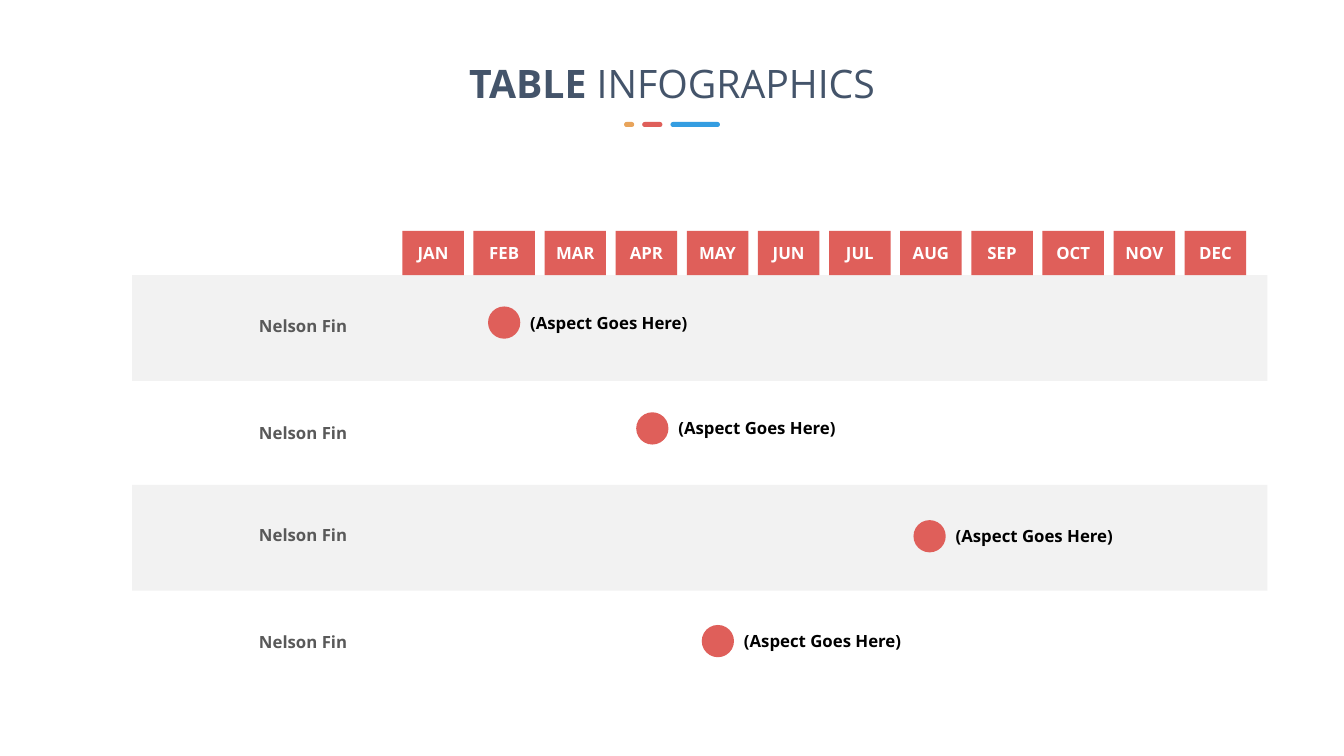
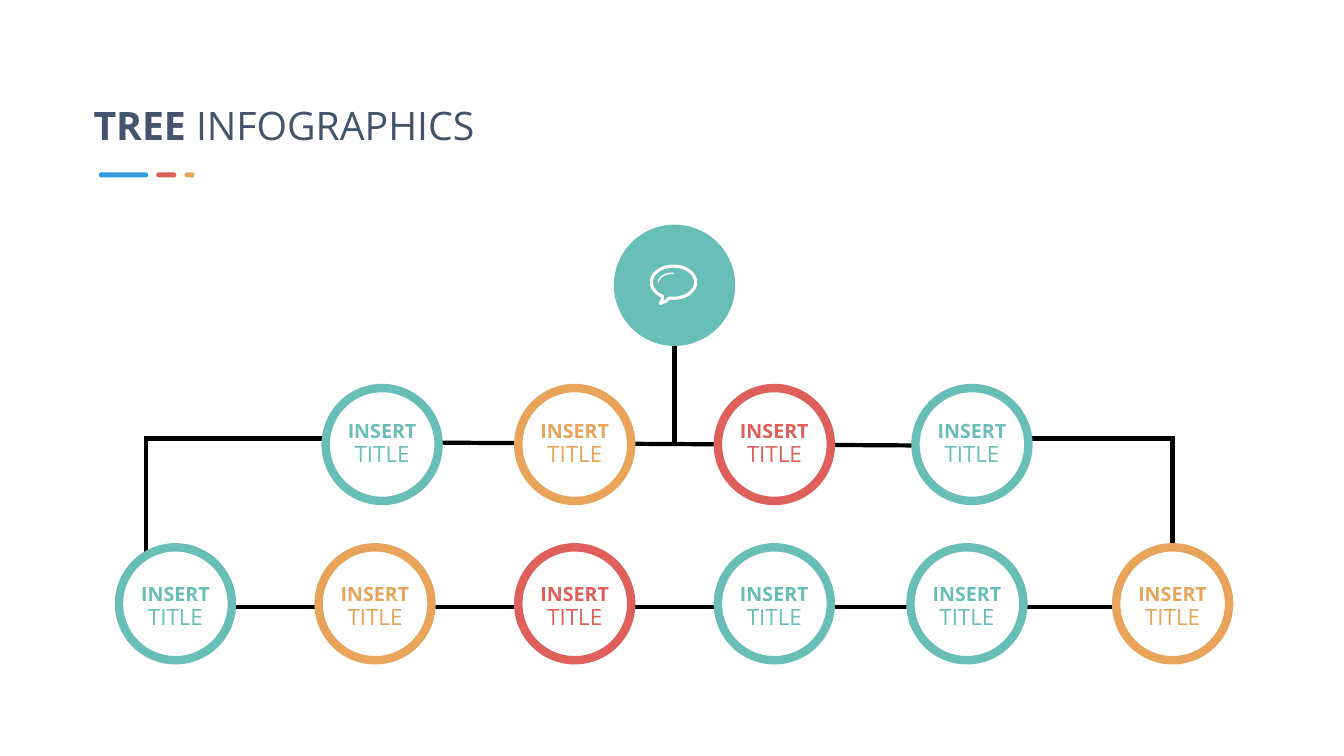
from dataclasses import dataclass
from math import cos, radians, sin

from lxml import etree
from pptx import Presentation
from pptx.dml.color import RGBColor
from pptx.enum.shapes import MSO_CONNECTOR, MSO_SHAPE
from pptx.enum.text import MSO_ANCHOR, MSO_AUTO_SIZE, PP_ALIGN
from pptx.oxml.ns import qn
from pptx.util import Inches, Pt

RECTANGLE, ROUNDED, OVAL = MSO_SHAPE.RECTANGLE, MSO_SHAPE.ROUNDED_RECTANGLE, MSO_SHAPE.OVAL
STRAIGHT = MSO_CONNECTOR.STRAIGHT
LEFT, CENTER = PP_ALIGN.LEFT, PP_ALIGN.CENTER
MIDDLE = MSO_ANCHOR.MIDDLE
FIT_SHAPE = MSO_AUTO_SIZE.SHAPE_TO_FIT_TEXT


@dataclass(frozen=True)
class Theme:
    font: str = "Open Sans"
    navy: str = "44546A"
    blue: str = "349DE1"
    red: str = "DF5F5A"
    amber: str = "E8A45B"
    teal: str = "69BEB6"
    band: str = "F2F2F2"
    gray: str = "595959"
    black: str = "000000"
    white: str = "FFFFFF"
    title_size: int = 28
    label_size: int = 12
    node_sizes: tuple = (14, 16)
    ring_width: int = 6
    branch_width: int = 3


THEME = Theme()

# Shared title accent: (width, colour), widest first
ACCENT_BARS = [(0.49, THEME.blue), (0.2, THEME.red), (0.1, THEME.amber)]
ACCENT_GAP, ACCENT_HEIGHT = 0.08, 0.05

# Schedule
MONTHS = ["JAN", "FEB", "MAR", "APR", "MAY", "JUN",
          "JUL", "AUG", "SEP", "OCT", "NOV", "DEC"]
FIRST_MONTH, LAST_MONTH, MONTH_TOP = 3.99, 11.75, 2.29
MONTH_WIDTH, MONTH_HEIGHT = 0.61, 0.44
BANDS = [2.73, 4.81]
DOT = 0.32
# (name, name top, aspect, dot left, dot top)
TASKS = [
    ("Nelson Fin", 3.08, "(Aspect Goes Here)", 4.84, 3.04),
    ("Nelson Fin", 4.14, "(Aspect Goes Here)", 6.31, 4.09),
    ("Nelson Fin", 5.16, "(Aspect Goes Here)", 9.06, 5.16),
    ("Nelson Fin", 6.22, "(Aspect Goes Here)", 6.96, 6.2),
]

# Tree
NODE_LABEL = ("INSERT ", "TITLE")
NODE = 1.12
ROOT = (6.13, 2.27)
# (top, label inset from top, [(left, colour)])
NODE_ROWS = [
    (3.85, 0, [(3.23, THEME.teal), (5.14, THEME.amber),
               (7.12, THEME.red), (9.08, THEME.teal)]),
    (5.43, 0.07, [(1.18, THEME.teal), (3.16, THEME.amber), (5.14, THEME.red),
                  (7.12, THEME.teal), (9.03, THEME.teal), (11.07, THEME.amber)]),
]
BRANCHES = [
    (11.63, 4.33, 11.63, 5.84),
    (10.14, 4.35, 11.65, 4.35),
    (1.45, 4.33, 1.45, 5.84),
    (3.39, 4.35, 1.44, 4.35),
    (11.37, 6.02, 1.96, 6.02),
    (9.16, 4.42, 4.05, 4.39),
    (6.69, 2.8, 6.69, 4.39),
]
BUBBLE_CENTER = (6.68, 2.8)
BUBBLE_TAIL = [(6.57, 2.97), (6.55, 3.01), (6.6, 2.99)]


def rgb(color):
    return RGBColor.from_string(color)


def add_block(page, kind, left, top, width, height, fill, ring=None):
    block = page.shapes.add_shape(
        kind, Inches(left), Inches(top), Inches(width), Inches(height))
    block.shadow.inherit = False
    block.fill.solid()
    block.fill.fore_color.rgb = rgb(fill)
    if ring:
        block.line.color.rgb = rgb(ring)
        block.line.width = Pt(THEME.ring_width)
    else:
        block.line.fill.background()
    return block


def write(frame, spans, color, size=None, align=LEFT):
    """Fill the first paragraph with (text, bold, own size or None) spans."""
    para = frame.paragraphs[0]
    para.alignment = align
    para.font.name = THEME.font
    para.font.color.rgb = rgb(color)
    if size:
        para.font.size = Pt(size)
    for text, bold, own_size in spans:
        span = para.add_run()
        span.text = text
        span.font.bold = bold
        if own_size:
            span.font.size = Pt(own_size)
    return para


def add_text(page, left, top, width, height, spans, color, size, align=LEFT, wrap=False):
    box = page.shapes.add_textbox(
        Inches(left), Inches(top), Inches(width), Inches(height))
    box.text_frame.word_wrap = wrap
    box.text_frame.auto_size = FIT_SHAPE
    write(box.text_frame, spans, color, size, align)


def add_title(page, strong, light, left, top, width, align):
    spans = [(strong, True, None), (light, False, None)]
    add_text(page, left, top, width, 0.57, spans,
             THEME.navy, THEME.title_size, align, wrap=True)


def add_accent(page, left, top, bars):
    for width, color in bars:
        bar = add_block(page, ROUNDED, left, top, width, ACCENT_HEIGHT, color)
        bar.adjustments[0] = 0.5
        left += width + ACCENT_GAP


def add_branch(page, x1, y1, x2, y2):
    branch = page.shapes.add_connector(
        STRAIGHT, Inches(x1), Inches(y1), Inches(x2), Inches(y2))
    branch.line.color.rgb = rgb(THEME.black)
    branch.line.width = Pt(THEME.branch_width)
    etree.SubElement(branch._element.spPr, qn("a:effectLst"))


def add_node(page, left, top, color, label_inset):
    node = add_block(page, OVAL, left, top, NODE, NODE, THEME.white, color)
    frame = node.text_frame
    frame.word_wrap = True
    frame.vertical_anchor = MIDDLE
    frame.margin_left = frame.margin_right = frame.margin_bottom = 0
    frame.margin_top = Inches(label_inset)
    spans = list(zip(NODE_LABEL, (True, False), THEME.node_sizes))
    write(frame, spans, color, align=CENTER).line_spacing = 0.9


def arc_points(radius_x, radius_y, start, stop, step):
    center_x, center_y = BUBBLE_CENTER
    return [(center_x + radius_x * cos(radians(angle)),
             center_y + radius_y * sin(radians(angle)))
            for angle in range(start, stop + step, step)]


def add_stroke(page, points, width, closed):
    corners = [(Inches(x), Inches(y)) for x, y in points]
    builder = page.shapes.build_freeform(*corners[0], scale=1.0)
    builder.add_line_segments(corners[1:], close=closed)
    stroke = builder.convert_to_shape()
    stroke.shadow.inherit = False
    stroke.fill.background()
    stroke.line.color.rgb = rgb(THEME.white)
    stroke.line.width = Pt(width)


def add_speech_bubble(page):
    add_stroke(page, arc_points(0.15, 0.09, 180, 270, 10), 1, closed=False)
    outline = arc_points(0.22, 0.16, 120, 460, 10)
    add_stroke(page, outline + BUBBLE_TAIL[::-1], 2.25, closed=True)


def build_schedule(page):
    for top in BANDS:
        add_block(page, RECTANGLE, 1.31, top, 11.26, 1.05, THEME.band)
    pitch = (LAST_MONTH - FIRST_MONTH) / (len(MONTHS) - 1)
    for index, month in enumerate(MONTHS):
        tile = add_block(page, RECTANGLE, FIRST_MONTH + index * pitch, MONTH_TOP,
                         MONTH_WIDTH, MONTH_HEIGHT, THEME.red)
        tile.text_frame.word_wrap = False
        tile.text_frame.vertical_anchor = MIDDLE
        write(tile.text_frame, [(month, True, None)], THEME.white,
              THEME.label_size, CENTER)
    for name, name_top, aspect, left, top in TASKS:
        add_block(page, OVAL, left, top, DOT, DOT, THEME.red)
        add_text(page, left + DOT, top + 0.01, 1.78, 0.3, [(aspect, True, None)],
                 THEME.black, THEME.label_size)
        add_text(page, 2.47, name_top, 1.09, 0.3, [(name, True, None)],
                 THEME.gray, THEME.label_size)
    add_title(page, "TABLE ", "INFOGRAPHICS", 2.89, 0.54, 7.55, CENTER)
    add_accent(page, 6.19, 1.21, ACCENT_BARS[::-1])


def build_tree(page):
    add_title(page, "TREE ", "INFOGRAPHICS", 0.83, 0.96, 4, LEFT)
    add_accent(page, 0.98, 1.71, ACCENT_BARS)
    for branch in BRANCHES:
        add_branch(page, *branch)
    add_block(page, OVAL, *ROOT, NODE, NODE, THEME.teal, THEME.teal)
    for top, label_inset, nodes in NODE_ROWS:
        for left, color in nodes:
            add_node(page, left, top, color, label_inset)
    add_speech_bubble(page)


def main():
    deck = Presentation()
    deck.slide_width, deck.slide_height = Inches(13.33), Inches(7.5)
    blank = deck.slide_layouts[6]
    for build in (build_schedule, build_tree):
        build(deck.slides.add_slide(blank))
    deck.save("out.pptx")


if __name__ == "__main__":
    main()
